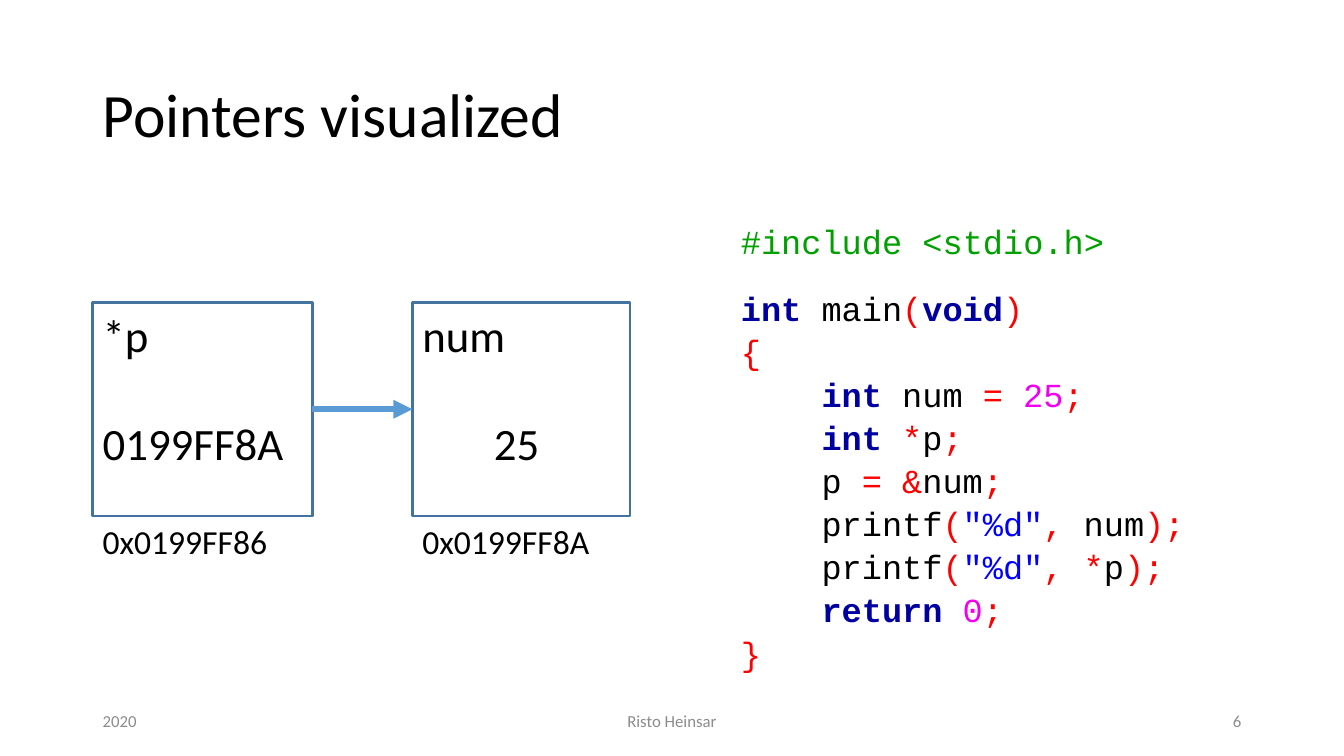
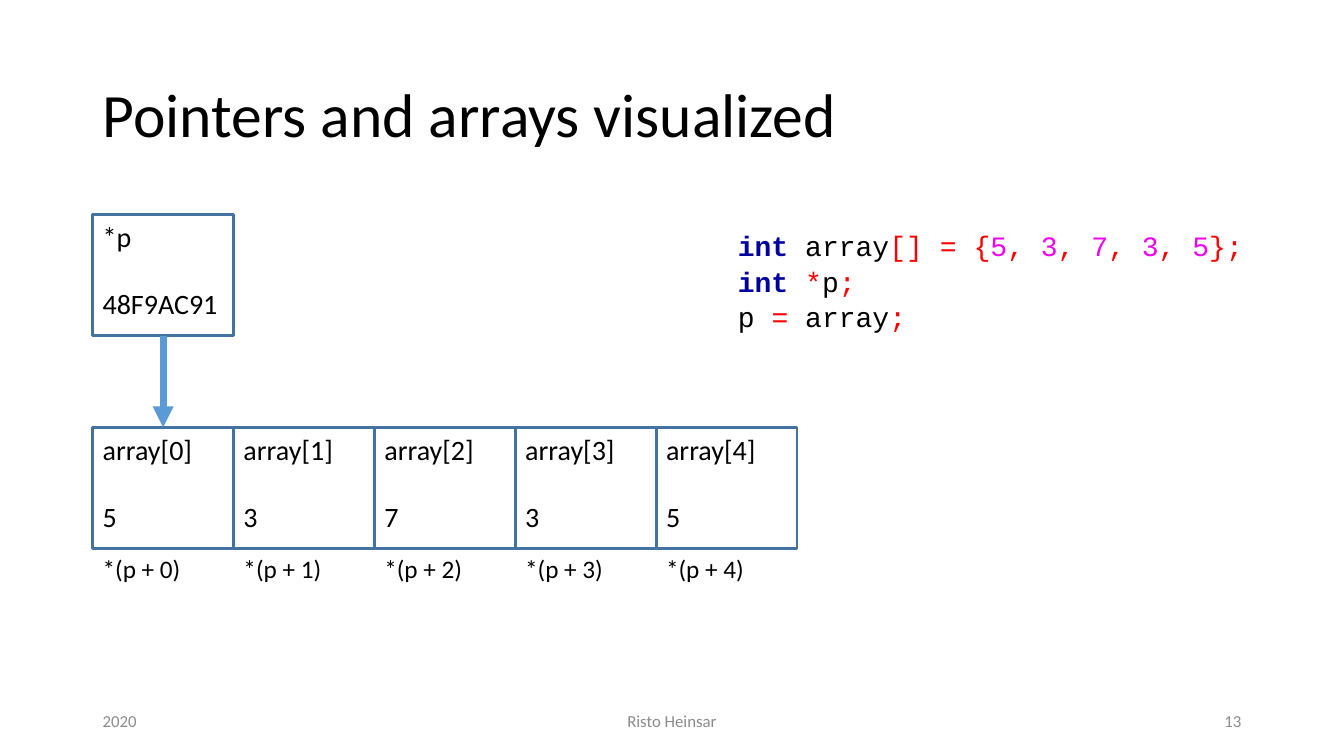
from dataclasses import dataclass
from itertools import groupby

from lxml import etree
from pptx import Presentation
from pptx.dml.color import RGBColor
from pptx.enum.shapes import MSO_CONNECTOR, MSO_SHAPE
from pptx.enum.text import MSO_ANCHOR, PP_ALIGN
from pptx.oxml.ns import qn
from pptx.util import Inches, Pt

RECTANGLE, STRAIGHT = MSO_SHAPE.RECTANGLE, MSO_CONNECTOR.STRAIGHT
TOP, MIDDLE = MSO_ANCHOR.TOP, MSO_ANCHOR.MIDDLE
LEFT, CENTER, RIGHT = PP_ALIGN.LEFT, PP_ALIGN.CENTER, PP_ALIGN.RIGHT
LEFT_SITE, BOTTOM_SITE, TOP_SITE, RIGHT_SITE = 1, 2, 0, 3

WHITE = RGBColor(0xFF, 0xFF, 0xFF)
BLACK = RGBColor(0x00, 0x00, 0x00)
FOOTER_GRAY = RGBColor(0x8C, 0x8C, 0x8C)
CELL_BORDER = RGBColor(0x43, 0x73, 0x9E)
ARROW_BLUE = RGBColor(0x5B, 0x9B, 0xD5)
DIRECTIVE_GREEN = RGBColor(0x00, 0xA0, 0x00)
KEYWORD_NAVY = RGBColor(0x00, 0x00, 0xA0)
SYMBOL_RED = RGBColor(0xFF, 0x00, 0x00)
NUMBER_PINK = RGBColor(0xF0, 0x00, 0xF0)
STRING_BLUE = RGBColor(0x00, 0x00, 0xFF)

TEXT_FONT, CODE_FONT = "Calibri", "Courier New"
KEYWORDS = {"int", "void", "return"}
LINE_HEIGHT = 1.22      # height of one text line, in font sizes
CHARACTER_WIDTH = 0.6   # width of one code character, in font sizes
MARGIN = 6.9            # percent of the slide's width
LABEL_HEIGHT = 6.67     # percent of the slide's height

presentation = Presentation()
presentation.slide_width = Inches(13.33)
presentation.slide_height = Inches(7.5)


@dataclass
class Box:
    """A region in percent of the slide's width and height."""
    left: float
    top: float
    width: float
    height: float

    def place(self):
        across = presentation.slide_width / 100
        down = presentation.slide_height / 100
        return (int(self.left * across), int(self.top * down),
                int(self.width * across), int(self.height * down))


# Text
def style_paragraph(paragraph, size, color=BLACK, align=LEFT):
    paragraph.alignment = align
    paragraph.font.name = TEXT_FONT
    paragraph.font.size = Pt(size)
    paragraph.font.color.rgb = color


def add_text(slide, box, text, size, color=BLACK, align=LEFT, anchor=TOP):
    frame = slide.shapes.add_textbox(*box.place()).text_frame
    frame.word_wrap = True
    frame.vertical_anchor = anchor
    frame.text = text
    style_paragraph(frame.paragraphs[0], size, color, align)


def add_slide(title, number):
    slide = presentation.slides.add_slide(presentation.slide_layouts[6])
    add_text(slide, Box(MARGIN, 5.33, 86.25, 19.33), title, 44, anchor=MIDDLE)
    footers = [(MARGIN, 26.86, "2020", LEFT),
               (38.11, 23.78, "Risto Heinsar", CENTER),
               (66.24, 26.86, str(number), RIGHT)]
    for left, width, text, align in footers:
        add_text(slide, Box(left, 92.67, width, 5.33), text, 12,
                 FOOTER_GRAY, align, MIDDLE)
    return slide


# Code listing
def tokens(line):
    """Yield the parts of a line of C with their colours."""
    if line.startswith("#"):
        yield line, DIRECTIVE_GREEN
        return
    for index, piece in enumerate(line.split('"')):
        if index % 2:
            yield f'"{piece}"', STRING_BLUE
            continue
        for is_word, characters in groupby(piece, lambda c: c.isalnum() or c == "_"):
            word = "".join(characters)
            if not is_word:
                yield word, SYMBOL_RED
            elif word in KEYWORDS:
                yield word, KEYWORD_NAVY
            else:
                yield word, NUMBER_PINK if word.isdigit() else BLACK


def add_code(slide, box, code, size):
    frame = slide.shapes.add_textbox(*box.place()).text_frame
    frame.word_wrap = True
    for index, line in enumerate(code.splitlines()):
        paragraph = frame.paragraphs[0] if index == 0 else frame.add_paragraph()
        paragraph.line_spacing = 1.07
        paragraph.font.name = CODE_FONT
        paragraph.font.size = Pt(size)
        statement = line.lstrip()
        indent = Pt(CHARACTER_WIDTH * size * (len(line) - len(statement)))
        paragraph._p.get_or_add_pPr().set("marL", str(int(indent)))
        if statement.startswith("#"):
            paragraph.space_after = Pt(17)
        for text, color in tokens(statement):
            run = paragraph.add_run()
            run.text = text
            run.font.color.rgb = color
            run.font.bold = color == KEYWORD_NAVY


# Memory diagram
def add_cell(slide, box, name, value, size, label=None, label_size=None, indent=0):
    """Draw a memory cell with its name, its value and a label below."""
    cell = slide.shapes.add_shape(RECTANGLE, *box.place())
    cell.shadow.inherit = False
    cell.fill.solid()
    cell.fill.fore_color.rgb = WHITE
    cell.line.color.rgb = CELL_BORDER
    cell.line.width = Pt(2)
    frame = cell.text_frame
    frame.word_wrap = True
    frame.vertical_anchor = TOP
    frame.text = f"{name}\n{value}"
    for paragraph in frame.paragraphs:
        style_paragraph(paragraph, size)
    value_paragraph = frame.paragraphs[1]
    value_paragraph.space_before = Pt(round(LINE_HEIGHT * size))
    value_paragraph._p.get_or_add_pPr().set("marL", str(Inches(indent)))
    if label:
        below = Box(box.left, box.top + box.height, box.width, LABEL_HEIGHT)
        add_text(slide, below, label, label_size)
    return cell


def add_arrow(slide, source, source_site, target, target_site, width):
    arrow = slide.shapes.add_connector(STRAIGHT, 0, 0, 0, 0)
    arrow.begin_connect(source, source_site)
    arrow.end_connect(target, target_site)
    arrow.line.color.rgb = ARROW_BLUE
    arrow.line.width = Pt(width)
    etree.SubElement(arrow.line._get_or_add_ln(), qn("a:tailEnd"), type="triangle")
    etree.SubElement(arrow._element.spPr, qn("a:effectLst"))


# Slide: one pointer and one variable
POINTER_CODE = """\
#include <stdio.h>
int main(void)
{
    int num = 25;
    int *p;
    p = &num;
    printf("%d", num);
    printf("%d", *p);
    return 0;
}"""


def build_pointer_slide():
    slide = add_slide("Pointers visualized", 6)
    pointer = add_cell(slide, Box(MARGIN, 40, 16.35, 28.27),
                       "*p", "0199FF8A", 32, "0x0199FF86", 24)
    variable = add_cell(slide, Box(30.68, 40, 16.2, 28.27),
                        "num", "25", 32, "0x0199FF8A", 24, indent=0.71)
    add_arrow(slide, pointer, RIGHT_SITE, variable, LEFT_SITE, 4.5)
    add_code(slide, Box(54.39, 28.13, 34.81, 63.73), POINTER_CODE, 24)


# Slide: a pointer to an array
ARRAY_CODE = """\
int array[] = {5, 3, 7, 3, 5};
int *p;
p = array;"""


def build_array_slide():
    slide = add_slide("Pointers and arrays visualized", 13)
    width, height = 10.48, 16
    pointer = add_cell(slide, Box(MARGIN, 28.4, width, height), "*p", "48F9AC91", 20)
    elements = [
        add_cell(slide, Box(MARGIN + index * width, 56.53, width, height),
                 f"array[{index}]", value, 20, f"*(p + {index})", 18)
        for index, value in enumerate([5, 3, 7, 3, 5])]
    add_arrow(slide, pointer, BOTTOM_SITE, elements[0], TOP_SITE, 5)
    add_code(slide, Box(54.16, 29.2, 40.14, 15.73), ARRAY_CODE, 20)


build_pointer_slide()
build_array_slide()
presentation.save("out.pptx")
